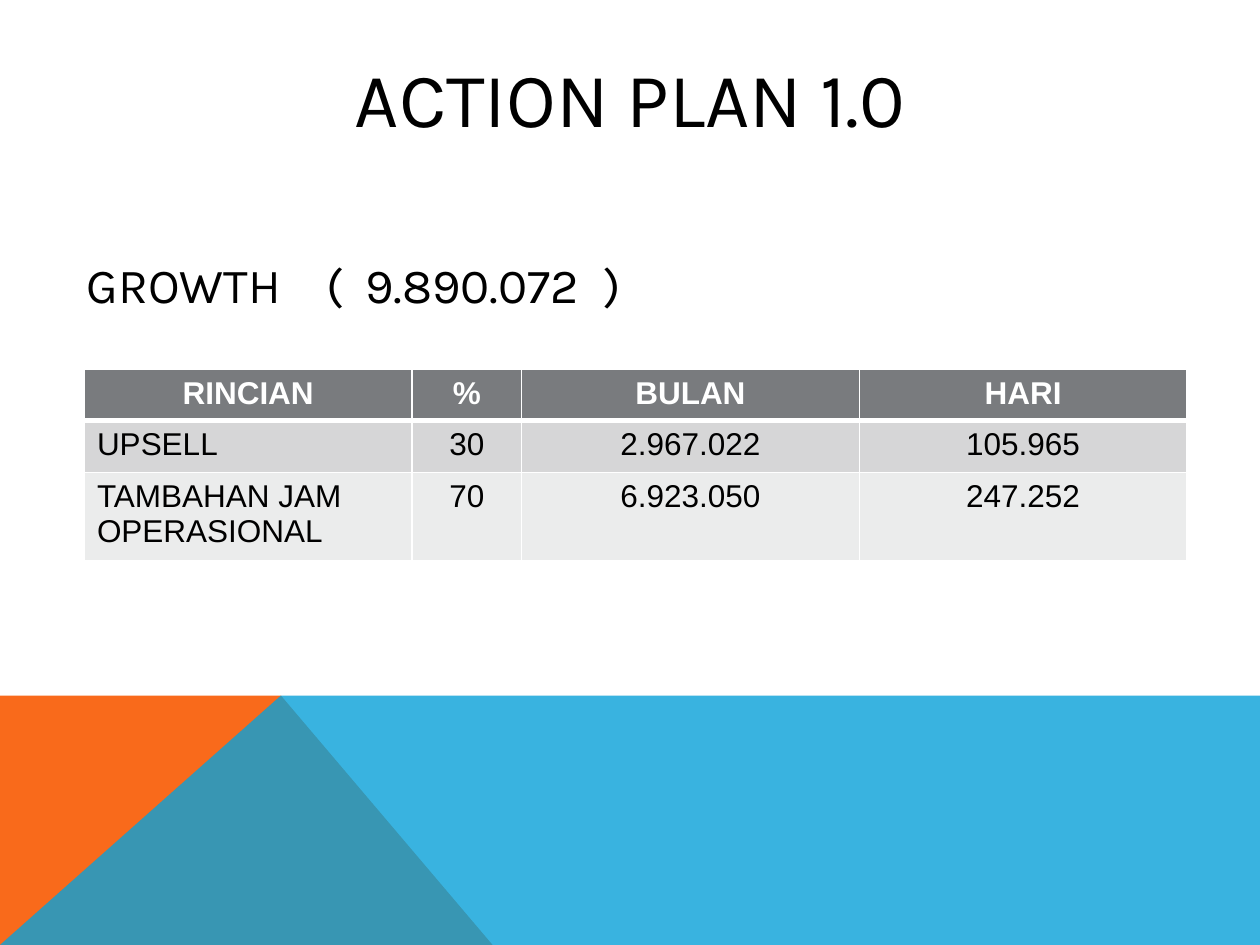
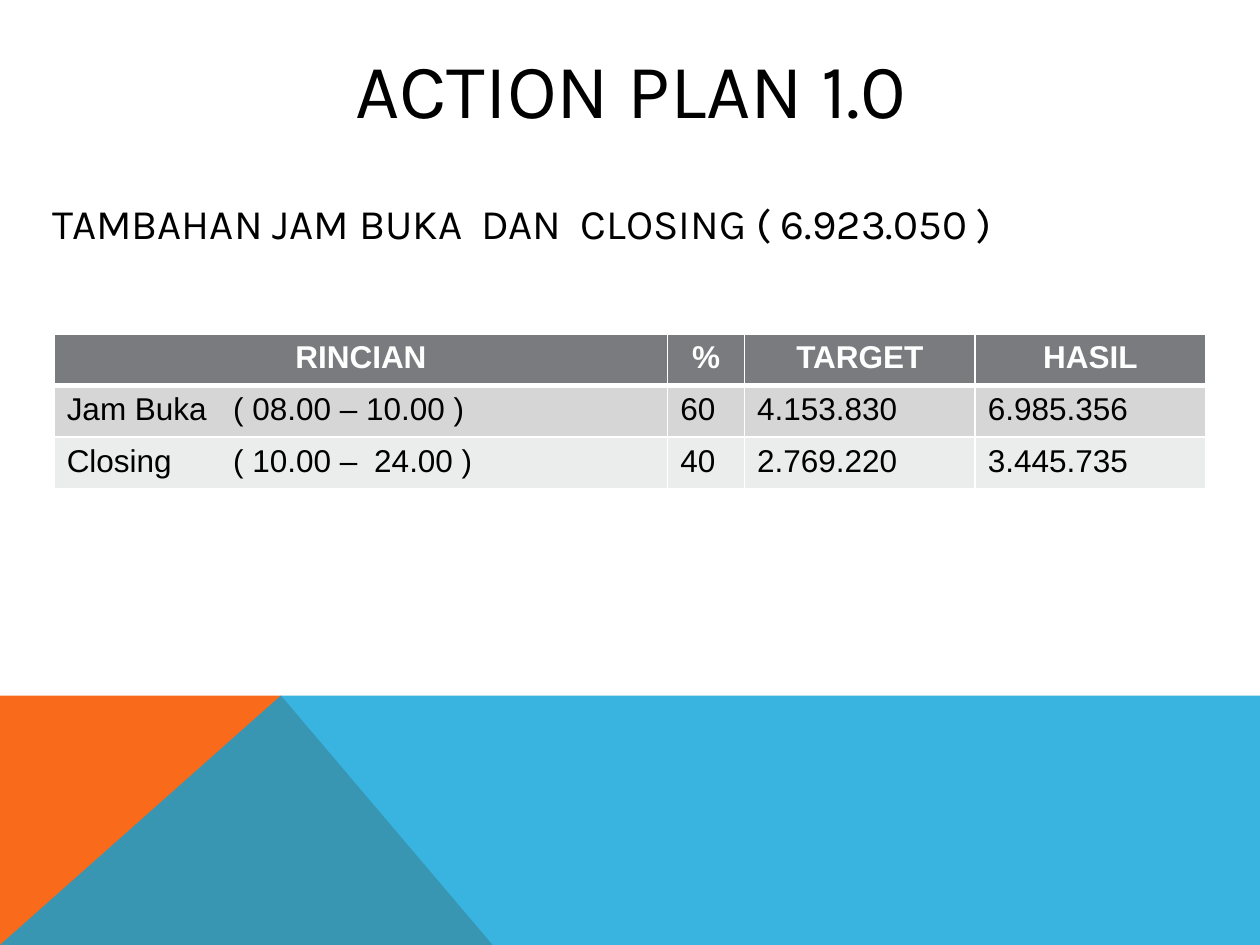
from lxml import etree
from pptx import Presentation
from pptx import util as u
from pptx.dml.color import RGBColor
from pptx.enum import text
from pptx.oxml import ns

COLORS = {
    "ink": "000000",
    "white": "FFFFFF",
    "orange": "F96A1B",
    "blue": "08A1D9",
    "header": "797B7E",
    "odd_row": "D6D6D7",
    "even_row": "EBECEC",
}
HEADING_FONT, TABLE_FONT = "Karla", "Arial"
LEFT, CENTER = text.PP_ALIGN.LEFT, text.PP_ALIGN.CENTER
BAND_TOP, BAND_PEAK = 5.52, 2.23
ROW_HEIGHT = 0.41


def rgb(name):
    return RGBColor.from_string(COLORS[name])


def add_child(parent, tag, **attributes):
    return etree.SubElement(parent, ns.qn(tag), attributes)


def write(frame, words, font, size, color="ink", align=LEFT, bold=False, tabs=()):
    """Fill a text frame with one paragraph; tabs are stops in inches."""
    para = frame.paragraphs[0]
    para.text = words
    para.alignment = align
    if tabs:
        stops = add_child(para._p.get_or_add_pPr(), "a:tabLst")
        for stop in tabs:
            add_child(stops, "a:tab", pos=str(u.Inches(stop)), algn="l")
    para.font.name = font
    para.font.size = u.Pt(size)
    para.font.bold = bold
    para.font.color.rgb = rgb(color)


def add_band(page, points, color, opacity=100):
    corners = [(u.Inches(x), u.Inches(y)) for x, y in points]
    builder = page.shapes.build_freeform(*corners[0])
    builder.add_line_segments(corners[1:], close=True)
    band = builder.convert_to_shape()
    band.shadow.inherit = False
    band.fill.solid()
    band.fill.fore_color.rgb = rgb(color)
    band.line.fill.background()
    if opacity < 100:
        fill_color = band._element.spPr.find(".//" + ns.qn("a:srgbClr"))
        add_child(fill_color, "a:alpha", val=str(opacity * 1000))


def add_heading(page, words, left, top, width, height, size, align=LEFT, tabs=()):
    box = page.shapes.add_textbox(*map(u.Inches, (left, top, width, height)))
    box.text_frame.word_wrap = True
    box.text_frame.vertical_anchor = text.MSO_ANCHOR.MIDDLE
    write(box.text_frame, words, HEADING_FONT, size, align=align, tabs=tabs)


def add_borders(cell, top, bottom):
    properties = cell._tc.get_or_add_tcPr()
    for side, points in (("L", 1), ("R", 1), ("T", top), ("B", bottom)):
        line = add_child(properties, f"a:ln{side}", w=str(u.Pt(points)))
        fill = add_child(line, "a:solidFill")
        add_child(fill, "a:srgbClr", val=COLORS["white"])


def add_table(page, left, top, widths, rows, number_align, tabs=()):
    """Draw a header row and banded body rows; tabs apply to the first column."""
    frame = page.shapes.add_table(
        len(rows), len(widths), u.Inches(left), u.Inches(top),
        u.Inches(sum(widths)), u.Inches(ROW_HEIGHT * len(rows)))
    table = frame.table
    for column, width in zip(table.columns, widths):
        column.width = u.Inches(width)
    for r, row in enumerate(rows):
        is_header = r == 0
        fill = "header" if is_header else "odd_row" if r % 2 else "even_row"
        for c, words in enumerate(row):
            cell = table.cell(r, c)
            add_borders(cell, top=3 if r == 1 else 1, bottom=3 if is_header else 1)
            cell.fill.solid()
            cell.fill.fore_color.rgb = rgb(fill)
            align = CENTER if is_header else number_align if c else LEFT
            write(cell.text_frame, words, TABLE_FONT, 18,
                  "white" if is_header else "ink", align, is_header,
                  tabs if "\t" in words else ())


def add_page(deck, title_area):
    """Add a slide with the shared bottom bands and title."""
    page = deck.slides.add_slide(deck.slide_layouts[6])
    add_band(page, [(0, 7.5), (0, BAND_TOP), (BAND_PEAK, BAND_TOP), (3.91, 7.5)],
             "orange")
    add_band(page, [(0, 7.5), (BAND_PEAK, BAND_TOP), (10, BAND_TOP), (10, 7.5)],
             "blue", opacity=80)
    add_heading(page, "ACTION PLAN 1.0", *title_area, size=44, align=CENTER)
    return page


def main():
    deck = Presentation()
    deck.slide_width, deck.slide_height = u.Inches(10), u.Inches(7.5)

    # Growth
    page = add_page(deck, (0.67, 0.14, 8.67, 1.25))
    add_table(page, 0.67, 2.93, [2.6, 0.87, 2.68, 2.6], [
        ["RINCIAN", "%", "BULAN", "HARI"],
        ["UPSELL", "30", "2.967.022", "105.965"],
        ["TAMBAHAN JAM OPERASIONAL", "70", "6.923.050", "247.252"],
    ], CENTER)
    add_heading(page, "GROWTH\t(\t9.890.072\t)", 0.59, 1.63, 9, 1.25, 28,
                tabs=[1.9, 2.21, 4.1])

    # Opening and closing hours
    page = add_page(deck, (0.9, 0.4, 8.22, 0.6))
    add_heading(page, "TAMBAHAN JAM BUKA\tDAN\tCLOSING ( 6.923.050 )",
                0.32, 1.47, 9.35, 0.6, 24, tabs=[3.4, 4.19])
    add_table(page, 0.43, 2.65, [4.87, 0.61, 1.83, 1.83], [
        ["RINCIAN", "%", "TARGET", "HASIL"],
        ["Jam Buka\t( 08.00 – 10.00 )", "60", "4.153.830", "6.985.356"],
        ["Closing\t( 10.00 –\t24.00 )", "40", "2.769.220", "3.445.735"],
    ], LEFT, tabs=[1.32, 2.44])

    deck.save("out.pptx")


if __name__ == "__main__":
    main()
